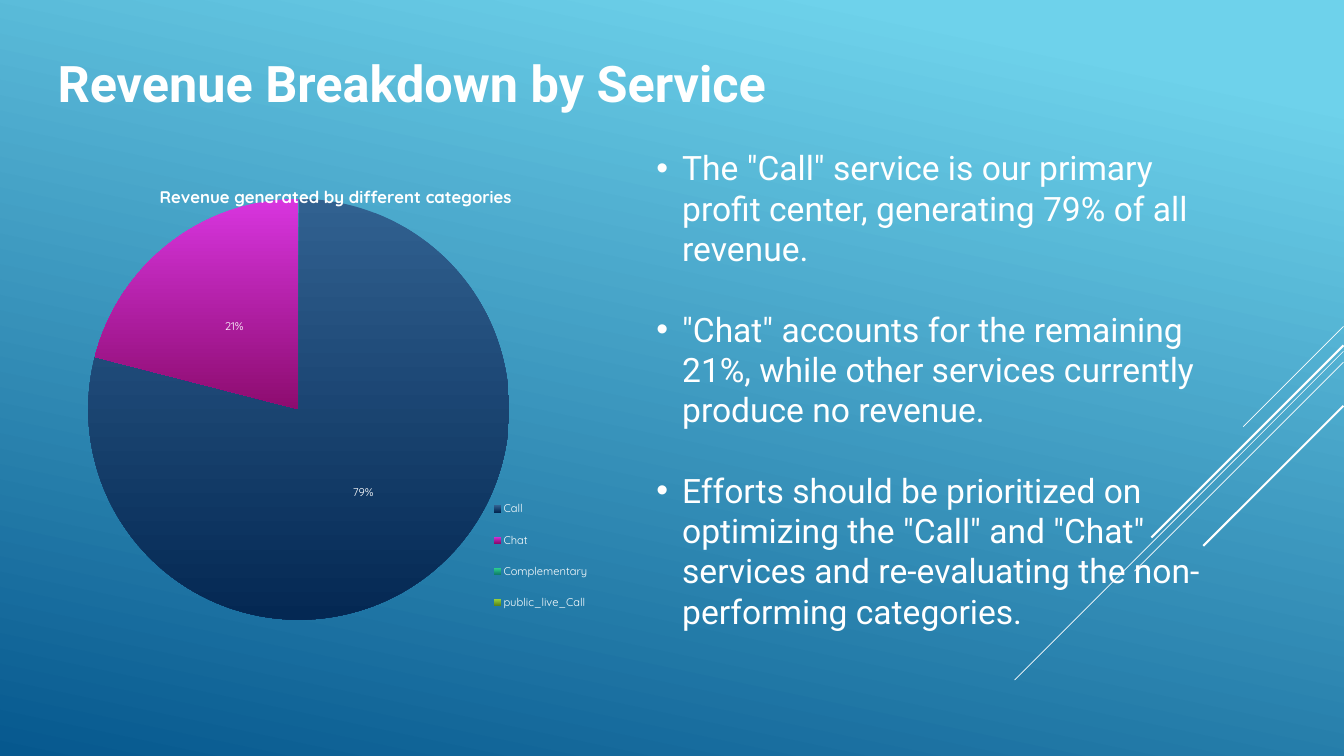
from lxml import etree
from pptx import Presentation
from pptx import util as u
from pptx.chart.data import CategoryChartData
from pptx.dml.color import RGBColor
from pptx.enum import chart as ch, shapes, text
from pptx.oxml.ns import qn

WHITE = "FFFFFF"
TITLE = "Revenue Breakdown by Service"
CHART_TITLE = "Revenue generated by different categories"
BULLETS = [
    'The "Call" service is our primary profit center, generating 79% of all revenue.',
    '"Chat" accounts for the remaining 21%, while other services currently produce no revenue.',
    'Efforts should be prioritized on optimizing the "Call" and "Chat" services '
    'and re-evaluating the non-performing categories.',
]
SERVICES = [
    ("Call", 79, "316190", "042853"),
    ("Chat", 21, "D835DF", "8D0C6F"),
    ("Complementary", 0, "2ED592", "11806A"),
    ("public_live_Call", 0, "9DD63D", "5B871B"),
]
EDGE = 50.78
DIAGONALS = [
    (12.34, 3.79, 0.75),
    (13.28, 12.43, 0.75),
    (13.69, 7.9, 0.75),
    (13.06, 7.26, 2.25),
    (15.34, 5.3, 2.25),
]
TITLE_BOX = (2.18, 1.93, 42.09, 2.21)
CHART_BOX = (2.74, 6.38, 19.89, 17.83)
BODY_BOX = (24.56, 5.44, 21.59, 18.72)
PLOT_AREA = (0.03, 0.06, 0.8, 0.9)
LEGEND_AREA = (0.79, 0.67, 0.2, 0.3)


def rgb(value):
    return RGBColor.from_string(value)


def cm(values):
    return [u.Cm(v) for v in values]


def style(font, name, size, bold=False):
    font.name, font.size, font.bold = name, u.Pt(size), bold
    font.color.rgb = rgb(WHITE)


def gradient(fill, start, end, angle, first=0):
    fill.gradient()
    fill.gradient_angle = 360 - angle
    for stop, color, pos in zip(fill.gradient_stops, (start, end), (first, 1)):
        stop.color.rgb = rgb(color)
        stop.position = pos


def place(sp, box):
    sp.left, sp.top, sp.width, sp.height = cm(box)
    tf = sp.text_frame
    tf.word_wrap = True
    tf.auto_size = text.MSO_AUTO_SIZE.NONE
    tf.vertical_anchor = text.MSO_ANCHOR.TOP
    return tf


def set_layout(parent, area, after, inner=False):
    for old in parent.findall(qn("c:layout")):
        parent.remove(old)
    layout = etree.Element(qn("c:layout"))
    manual = etree.SubElement(layout, qn("c:manualLayout"))
    items = [("layoutTarget", "inner")] if inner else []
    items += [("xMode", "edge"), ("yMode", "edge"), *zip("xywh", area)]
    for tag, value in items:
        etree.SubElement(manual, qn("c:" + tag)).set("val", str(value))
    if after is None:
        parent.insert(0, layout)
    else:
        parent.find(qn(after)).addnext(layout)


def add_diagonals(s):
    for i, (top, run, width) in enumerate(DIAGONALS):
        ends = cm((EDGE, top, EDGE - run, top + run))
        ln = s.shapes.add_connector(shapes.MSO_CONNECTOR.STRAIGHT, *ends)
        ln.line.color.rgb = rgb(WHITE)
        ln.line.width = u.Pt(width)
        etree.SubElement(ln.element.spPr, qn("a:effectLst"))
        ln.element.getparent().insert(2 + i, ln.element)


def add_title(s):
    tf = place(s.shapes.title, TITLE_BOX)
    tf.margin_left = tf.margin_top = tf.margin_right = tf.margin_bottom = 0
    tf.text = TITLE
    p = tf.paragraphs[0]
    p.alignment = text.PP_ALIGN.LEFT
    p.line_spacing = u.Pt(66)
    style(p.runs[0].font, "Roboto", 54, True)


def add_bullets(s):
    tf = place(s.placeholders[1], BODY_BOX)
    tf.text = "\n".join(BULLETS)
    for i, p in enumerate(tf.paragraphs):
        p.line_spacing = u.Pt(43.2)
        p.space_before = u.Pt(43.2 if i else 0)
        pPr = p._p.get_or_add_pPr()
        pPr.set("marL", str(u.Cm(0.97)))
        pPr.set("indent", str(-u.Cm(0.97)))
        etree.SubElement(pPr, qn("a:buChar")).set("char", "•")
        style(p.runs[0].font, "Roboto", 36)


def add_pie(s):
    data = CategoryChartData()
    data.categories = [name for name, *_ in SERVICES]
    data.add_series("Series 1", [value for _, value, *_ in SERVICES])
    chart = s.shapes.add_chart(ch.XL_CHART_TYPE.PIE, *cm(CHART_BOX), data).chart
    style(chart.font, "Quicksand", 10)

    chart.has_title = True
    tf = chart.chart_title.text_frame
    tf.text = CHART_TITLE
    style(tf.paragraphs[0].runs[0].font, "Quicksand", 18, True)

    chart.has_legend = True
    legend = chart.legend
    legend.position = ch.XL_LEGEND_POSITION.RIGHT
    legend.include_in_layout = False
    style(legend.font, "Quicksand", 12)

    plot = chart.plots[0]
    plot.vary_by_categories = True
    plot.has_data_labels = True
    labels = plot.data_labels
    labels.show_percentage = True
    labels.show_value = False
    labels.number_format = "0%"
    labels.number_format_is_linked = False
    labels.position = ch.XL_LABEL_POSITION.CENTER
    style(labels.font, "Quicksand", 12)
    for i, (_, _, start, end) in enumerate(SERVICES):
        gradient(plot.series[0].points[i].format.fill, start, end, 90)

    area = chart.element.find(".//" + qn("c:plotArea"))
    set_layout(area, PLOT_AREA, None, inner=True)
    set_layout(chart.element.find(".//" + qn("c:legend")), LEGEND_AREA, "c:legendPos")


def main():
    prs = Presentation()
    prs.slide_width, prs.slide_height = cm((50.8, 28.58))
    s = prs.slides.add_slide(prs.slide_layouts[1])
    gradient(s.background.fill, "6ED2EB", "06588E", 102, first=0.1)
    add_diagonals(s)
    add_title(s)
    add_pie(s)
    add_bullets(s)
    prs.save("out.pptx")


if __name__ == "__main__":
    main()
